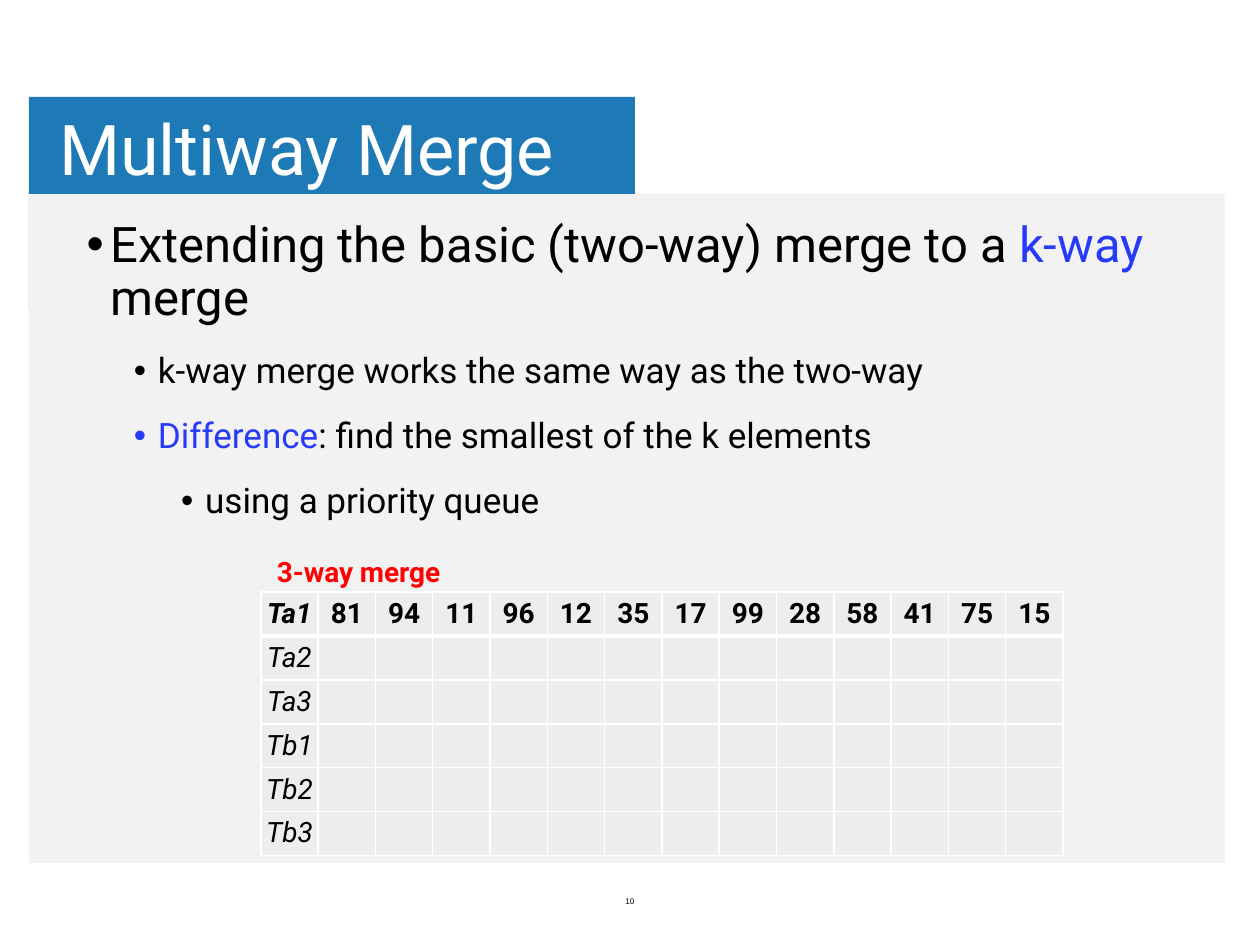
from pptx import Presentation
from pptx.dml.color import RGBColor
from pptx.enum.shapes import MSO_SHAPE as SHAPE
from pptx.enum.text import MSO_ANCHOR as ANCHOR, PP_ALIGN as ALIGN
from pptx.oxml import parse_xml
from pptx.oxml.ns import nsdecls
from pptx.util import Inches, Pt

# Grid of 100 columns by 75 rows, so one unit is a tenth of an inch
WIDTH, HEIGHT = 10, 7.5
COLS, ROWS = 100, 75
BLACK, WHITE, BLUE, RED = "000000", "FFFFFF", "263AF8", "FF0000"
BANNER, PANEL, CELL = "1E7AB6", "F2F2F2", "EDEDED"

KEYS = ["81", "94", "11", "96", "12", "35", "17", "99", "28", "58", "41", "75", "15"]
TAPES = ["Ta1", "Ta2", "Ta3", "Tb1", "Tb2", "Tb3"]
BULLETS = [
    (0, 28, [("Extending the basic (two-way) merge to a ", BLACK), ("k-way ", BLUE), ("merge", BLACK)]),
    (1, 20, [("k-way merge works the same way as the two-way", BLACK)]),
    (1, 20, [("Difference", BLUE), (": find the smallest of the k elements", BLACK)]),
    (2, 20, [("using a priority queue", BLACK)]),
]


def rgb(value):
    return RGBColor.from_string(value)


def col(n):
    return Inches(WIDTH * n / COLS)


def row(n):
    return Inches(HEIGHT * n / ROWS)


def place(box):
    x, y, w, h = box
    return col(x), row(y), col(w), row(h)


def within(box, dx, dy, w, h):
    return box[0] + dx, box[1] + dy, w, h


def add_run(p, text, color=BLACK, **formats):
    r = p.add_run()
    r.text = text
    r.font.color.rgb = rgb(color)
    for name, value in ({"name": "Roboto"} | formats).items():
        setattr(r.font, name, value)


def add_block(slide, box, color):
    sp = slide.shapes.add_shape(SHAPE.RECTANGLE, *place(box))
    sp.shadow.inherit = False
    sp.fill.solid()
    sp.fill.fore_color.rgb = rgb(color)
    sp.line.fill.background()


def add_text(slide, box, **formats):
    tf = slide.shapes.add_textbox(*place(box)).text_frame
    for name, value in ({"word_wrap": True} | formats).items():
        setattr(tf, name, value)
    return tf


def add_title(slide, box):
    tf = add_text(slide, within(box, 1.7, 0.5, 75.1, 7.9), vertical_anchor=ANCHOR.MIDDLE,
                  margin_left=Inches(0.07), margin_right=Inches(0.07),
                  margin_top=Inches(0.04), margin_bottom=Inches(0.04))
    p = tf.paragraphs[0]
    p.line_spacing = 0.9
    add_run(p, "Multiway Merge", WHITE, size=Pt(40))


def add_bullets(slide, box):
    tf = add_text(slide, box)
    for i, (level, size, runs) in enumerate(BULLETS):
        p = tf.add_paragraph() if i else tf.paragraphs[0]
        pPr = p._p.get_or_add_pPr()
        pPr.set("marL", str(Inches(0.19 + 0.375 * level)))
        pPr.set("indent", str(Inches(-0.19)))
        pPr.append(parse_xml(f'<a:buFont {nsdecls("a")} typeface="Arial"/>'))
        pPr.append(parse_xml(f'<a:buChar {nsdecls("a")} char="•"/>'))
        p.level = level
        p.line_spacing = 0.9
        p.space_before = Pt(15.5 if i else 0)
        for text, color in runs:
            add_run(p, text, color, size=Pt(size))


def set_borders(cell, **widths):
    tcPr = cell._tc.get_or_add_tcPr()
    for side in "LRTB":
        tcPr.append(parse_xml(
            f'<a:ln{side} {nsdecls("a")} w="{Pt(widths.get(side, 1))}">'
            f'<a:solidFill><a:srgbClr val="{WHITE}"/></a:solidFill></a:ln{side}>'))


def add_tapes(slide, box):
    # Caption above the table
    tf = add_text(slide, within(box, 0.3, -3.5, 16.3, 3.7), word_wrap=False)
    add_run(tf.paragraphs[0], "3-way merge", RED, size=Pt(16), bold=True)

    # Tape names in the first column, keys in the first row
    table = slide.shapes.add_table(len(TAPES), len(KEYS) + 1, *place(box)).table
    table.horz_banding = False
    for r, tape in enumerate(TAPES):
        for c, text in enumerate([tape] + (KEYS if r == 0 else [""] * len(KEYS))):
            cell = table.cell(r, c)
            set_borders(cell, T=3 if r == 1 else 1, B=3 if r == 0 else 1)
            cell.fill.solid()
            cell.fill.fore_color.rgb = rgb(CELL)
            cell.vertical_anchor = ANCHOR.MIDDLE
            for side in ("left", "right", "top", "bottom"):
                setattr(cell, f"margin_{side}", 0)
            if text:
                p = cell.text_frame.paragraphs[0]
                p.alignment = ALIGN.CENTER
                add_run(p, text, size=Pt(16), bold=r == 0, italic=c == 0)


def add_page_number(slide, box):
    p = add_text(slide, box, vertical_anchor=ANCHOR.MIDDLE).paragraphs[0]
    p.alignment = ALIGN.CENTER
    add_run(p, "10", size=Pt(4.7), name="Arial")


def main():
    prs = Presentation()
    prs.slide_width, prs.slide_height = Inches(WIDTH), Inches(HEIGHT)
    slide = prs.slides.add_slide(prs.slide_layouts[6])
    banner, panel = (2.3, 7.7, 48.1, 16.7), (2.3, 15.4, 94.9, 53.1)

    # Banner and content panel
    add_block(slide, banner, BANNER)
    add_block(slide, panel, PANEL)

    # Contents
    add_title(slide, banner)
    add_bullets(slide, within(panel, 3.6, 1.6, 87.3, 32))
    add_page_number(slide, (33.1, 69.5, 33.8, 4))
    add_tapes(slide, within(panel, 18.4, 31.6, 63.7, 20.9))
    prs.save("out.pptx")


if __name__ == "__main__":
    main()
